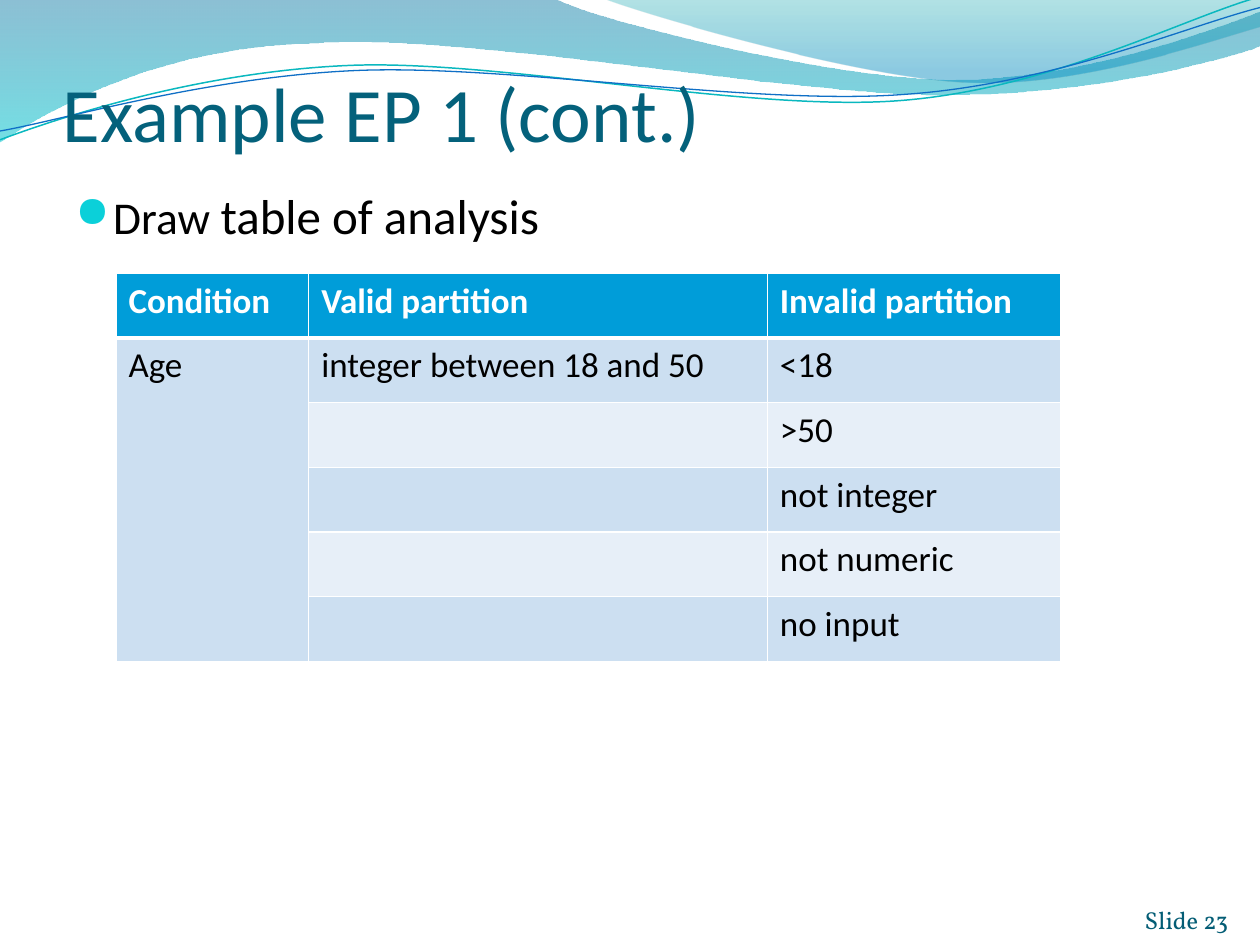
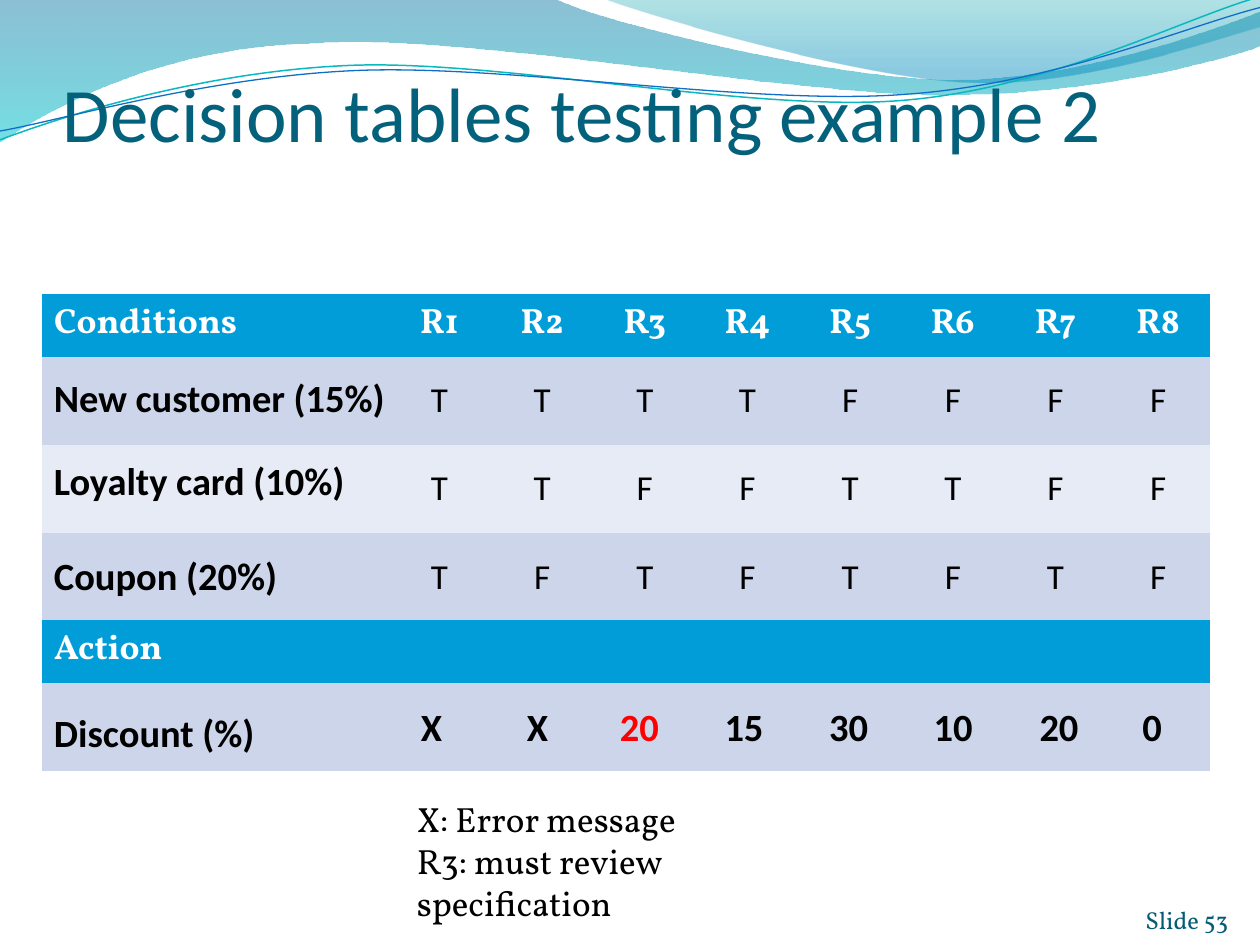
"""Builds two slides on software test design with tables."""
from lxml import etree
from pptx import Presentation
from pptx.dml.color import RGBColor
from pptx.enum.text import MSO_ANCHOR, MSO_AUTO_SIZE, PP_ALIGN
from pptx.oxml.ns import qn
from pptx.util import Pt

PIXEL = 9144
SANS, SERIF = "Calibri", "Vollkorn"
NO_GRID_STYLE = "{2D5ABB26-0587-4C30-8999-92F81FD0307C}"

WHITE = RGBColor(0xFF, 0xFF, 0xFF)
BLACK = RGBColor(0x00, 0x00, 0x00)
RED = RGBColor(0xFF, 0x00, 0x00)
TITLE_TEAL = RGBColor(0x04, 0x61, 0x7B)
NUMBER_TEAL = RGBColor(0x04, 0x5D, 0x75)
BULLET_CYAN = RGBColor(0x0B, 0xD0, 0xD9)
HEADER_BLUE = RGBColor(0x00, 0x9D, 0xD9)
BLUE_BANDS = RGBColor(0xCC, 0xDF, 0xF1), RGBColor(0xE7, 0xEF, 0xF8)
LILAC_BANDS = RGBColor(0xCC, 0xD5, 0xEA), RGBColor(0xE7, 0xEB, 0xF5)
WAVE_BLUE, WAVE_CYAN = RGBColor(0x00, 0x74, 0xA1), RGBColor(0x00, 0xC6, 0xCF)
CREST_TEAL, CREST_BLUE = RGBColor(0x00, 0xA1, 0xA9), RGBColor(0x00, 0x8B, 0xBF)
LINE_CYAN, LINE_BLUE = RGBColor(0x0A, 0xB8, 0xBF), RGBColor(0x0F, 0x6F, 0xC6)

WIDE_WAVE = [
    [(0, 0)], [(440, -1)],
    [(476, 17), (664, 63), (758, 63)], [(853, 63), (958, 26), (1000, 9)],
    [(1001, 36)],
    [(983, 44), (870, 76), (746, 75)], [(622, 75), (382, 28), (257, 34)],
    [(129, 36), (46, 83), (-1, 113)],
]
CREST = [
    [(479, -1)],
    [(509, 11), (682, 62), (769, 65)], [(856, 69), (961, 32), (1000, 21)],
    [(1000, 0)],
]
CYAN_CURVE = [
    [(0, 111)],
    [(48, 93), (158, 57), (277, 52)], [(395, 47), (593, 89), (713, 80)],
    [(833, 71), (938, 15), (998, -2)],
]
BLUE_CURVE = [
    [(0, 104)],
    [(47, 96), (164, 61), (283, 56)], [(403, 51), (597, 84), (717, 75)],
    [(836, 67), (941, 21), (1000, 6)],
]


def emu(*lengths):
    return [round(length * PIXEL) for length in lengths]


class Deck:
    """Holds the shared style and the current slide."""

    def __init__(self):
        self.deck = Presentation()
        self.deck.slide_width, self.deck.slide_height = emu(1000, 750)

    def new_page(self, title, number):
        self.page = self.deck.slides.add_slide(self.deck.slide_layouts[6])
        self.gradient(WIDE_WAVE, (0, WAVE_BLUE, 45), (1, WAVE_CYAN, 55))
        self.gradient(CREST, (0, CREST_TEAL, 30), (0.8, CREST_BLUE, 45))
        self.curve(CYAN_CURVE, LINE_CYAN, 0.85)
        self.curve(BLUE_CURVE, LINE_BLUE, 0.75)
        self.text((50, 42, 917, 83), [title], 44, TITLE_TEAL,
                  anchor=MSO_ANCHOR.BOTTOM, insets=(0, 5, 0, 0))
        self.text((892, 702, 83, 40), [f"Slide {number}"], 14, NUMBER_TEAL, SERIF,
                  align=PP_ALIGN.RIGHT, anchor=MSO_ANCHOR.BOTTOM, insets=(0, 0, 0, 0))

    def outline(self, segments, closed):
        """Draws segments of one point as lines and of three as Bézier curves."""
        points = [point for segment in segments for point in segment]
        builder = self.page.shapes.build_freeform(*points[0], scale=PIXEL)
        builder.add_line_segments(points[1:], close=closed)
        shape = builder.convert_to_shape()
        shape.shadow.inherit = False
        lines = iter(list(shape._element.iter(qn("a:lnTo"))))
        for segment in segments[1:]:
            group = [next(lines) for _ in segment]
            if len(group) == 3:
                bezier = etree.Element(qn("a:cubicBezTo"))
                group[0].addprevious(bezier)
                for line in group:
                    bezier.append(line[0])
                    line.getparent().remove(line)
        return shape

    def gradient(self, segments, *stops):
        shape = self.outline(segments, True)
        shape.line.fill.background()
        shape.fill.gradient()
        shape.fill.gradient_angle = 270
        for stop, (position, color, _) in zip(shape.fill.gradient_stops, stops):
            stop.position = position
            stop.color.rgb = color
        for color, (_, _, opacity) in zip(shape._element.iter(qn("a:srgbClr")), stops):
            etree.SubElement(color, qn("a:alpha"), val=str(opacity * 1000))

    def curve(self, segments, color, width):
        shape = self.outline(segments, False)
        shape.fill.background()
        shape.line.color.rgb = color
        shape.line.width = Pt(width)

    def style(self, para, size, color, font=SANS, bold=False, align=PP_ALIGN.LEFT):
        para.alignment = align
        para.font.name = font
        para.font.bold = bold
        para.font.color.rgb = color
        if size:
            para.font.size = Pt(size)

    def text(self, place, lines, size, color=BLACK, font=SANS, bold=False,
             align=PP_ALIGN.LEFT, anchor=MSO_ANCHOR.TOP, insets=(10, 5, 10, 5), wrap=True):
        frame = self.page.shapes.add_textbox(*emu(*place)).text_frame
        frame.word_wrap = wrap
        frame.auto_size = MSO_AUTO_SIZE.NONE if wrap else MSO_AUTO_SIZE.SHAPE_TO_FIT_TEXT
        frame.vertical_anchor = anchor
        (frame.margin_left, frame.margin_top,
         frame.margin_right, frame.margin_bottom) = emu(*insets)
        frame.text = "\n".join(lines)
        for para in frame.paragraphs:
            self.style(para, size, color, font, bold, align)

    def bullet(self, place, spans):
        frame = self.page.shapes.add_textbox(*emu(*place)).text_frame
        frame.word_wrap = True
        para = frame.paragraphs[0]
        layout = para._p.get_or_add_pPr()
        indent, = emu(30)
        layout.set("marL", str(indent))
        layout.set("indent", str(-indent))
        color = etree.SubElement(layout, qn("a:buClr"))
        etree.SubElement(color, qn("a:srgbClr"), val=str(BULLET_CYAN))
        etree.SubElement(layout, qn("a:buSzPct"), val="95000")
        etree.SubElement(layout, qn("a:buChar"), char="●")
        self.style(para, None, BLACK)
        for words, size in spans:
            span = para.add_run()
            span.text = words
            span.font.size = Pt(size)

    def table(self, left, top, widths, heights, rows, bands, header_font=SANS,
              centred=False, bordered=False):
        frame = self.page.shapes.add_table(
            len(heights), len(widths), *emu(left, top, sum(widths), sum(heights)))
        table = frame.table
        frame._element.find(".//" + qn("a:tableStyleId")).text = NO_GRID_STYLE
        for column, width in zip(table.columns, emu(*widths)):
            column.width = width
        for row, height in zip(table.rows, emu(*heights)):
            row.height = height
        for y, row in enumerate(rows):
            header = y == 0
            for x, words in enumerate(row):
                cell = table.cell(y, x)
                if bordered:
                    self.border(cell, 3 if y == 1 else 1, 3 if header else 1)
                cell.fill.solid()
                cell.fill.fore_color.rgb = HEADER_BLUE if header else bands[(y - 1) % 2]
                if centred and not header:
                    cell.vertical_anchor = MSO_ANCHOR.MIDDLE
                if words:
                    cell.text = words
                    self.style(cell.text_frame.paragraphs[0], 20,
                               WHITE if header else BLACK,
                               header_font if header else SANS, header,
                               PP_ALIGN.CENTER if centred and x else PP_ALIGN.LEFT)
        return table

    def border(self, cell, top, bottom):
        properties = cell._tc.get_or_add_tcPr()
        for side, width in (("L", 1), ("R", 1), ("T", top), ("B", bottom)):
            line = etree.SubElement(properties, qn(f"a:ln{side}"), w=str(Pt(width)))
            fill = etree.SubElement(line, qn("a:solidFill"))
            etree.SubElement(fill, qn("a:srgbClr"), val=str(WHITE))


def partition_page(deck):
    deck.new_page("Example EP 1 (cont.)", 23)
    deck.bullet((50, 142, 917, 575), [("Draw ", 26), ("table of analysis", 28)])
    rows = [
        ("Condition", "Valid partition", "Invalid partition"),
        ("Age", "integer between 18 and 50", "<18"),
        *(("", "", invalid) for invalid in (">50", "not integer", "not numeric", "no input")),
    ]
    table = deck.table(92, 217, [153, 364, 233], [308 / len(rows)] * len(rows), rows,
                       BLUE_BANDS, bordered=True)
    table.cell(1, 0).merge(table.cell(5, 0))


def decision_page(deck):
    deck.new_page("Decision tables testing example 2", 53)
    left, label_width, rules = 33, 275, 8
    widths = [label_width] + [(927 - label_width) / rules] * rules
    conditions = [
        ("Conditions", *(f"R{rule}" for rule in range(1, rules + 1))),
        *(("", *answers) for answers in ("TTTTFFFF", "TTFFTTFF", "TFTFTFTF")),
    ]
    actions = [("Action", *[""] * rules), [""] * (rules + 1)]
    deck.table(left, 233, widths, [50, 70, 70, 70], conditions, LILAC_BANDS, SERIF, centred=True)
    deck.table(left, 492, widths, [50, 70], actions, LILAC_BANDS, SERIF)

    labels = [("New customer (15%)", 292, 290), ("Loyalty card (10%)", 358, 254),
              ("Coupon (20%)", 433, 199), ("Discount (%)", 558, 181)]
    for label, top, width in labels:
        deck.text((left, top, width, 47), [label], 22, bold=True, wrap=False)

    discounts = [("X", 324), ("X", 408), ("20", 482), ("15", 565),
                 ("30", 648), ("10", 731), ("20", 815), ("0", 896)]
    for rule, (discount, place) in enumerate(discounts, 1):
        deck.text((place, 553, 51 if len(discount) > 1 else 37, 47), [discount], 22,
                  RED if rule == 3 else BLACK, bold=True, align=PP_ALIGN.CENTER, wrap=False)
    deck.text((321, 628, 365, 77), ["X: Error message", "R3: must review specification"],
              20, font=SERIF)


def main():
    deck = Deck()
    partition_page(deck)
    decision_page(deck)
    deck.deck.save("out.pptx")


if __name__ == "__main__":
    main()
